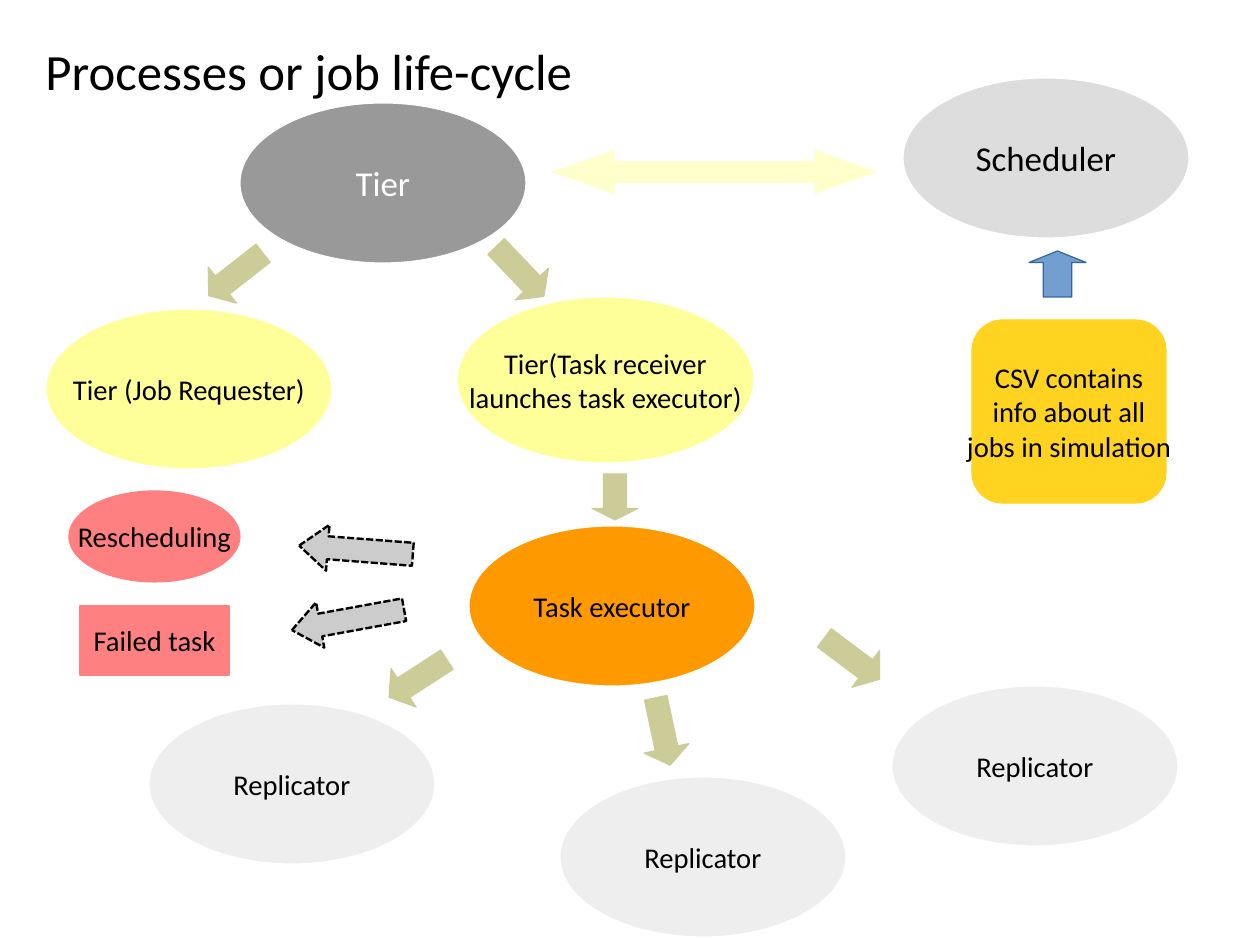
from typing import NamedTuple

from pptx import Presentation
from pptx.dml.color import RGBColor
from pptx.enum.dml import MSO_LINE_DASH_STYLE as Dash
from pptx.enum.shapes import MSO_SHAPE as Preset
from pptx.enum.text import MSO_ANCHOR as Anchor, MSO_AUTO_SIZE as AutoSize, PP_ALIGN as Align
from pptx.util import Emu, Pt

SCALE = 8000  # EMU per pixel
FONT = "Calibri"
COLORS = {
    "black": "000000", "white": "FFFFFF", "silver": "DDDDDD", "gray": "999999",
    "yellow": "FFFF99", "orange": "FF9900", "pale": "EEEEEE", "cream": "FFFFCC",
    "olive": "CCCC99", "gold": "FFD320", "blue": "729FCF", "navy": "3465A4",
    "red": "FF8080", "ash": "CCCCCC",
}


class Box(NamedTuple):
    """Left, top, width and height in pixels."""
    left: int
    top: int
    width: int
    height: int


class Node(NamedTuple):
    """A labelled step of the life-cycle."""
    text: str
    box: Box
    fill: str
    line: str = "white"
    preset: Preset = Preset.OVAL
    size: int = 18
    color: str = "black"


class Arrow(NamedTuple):
    """A block arrow; head is its length relative to the short side."""
    preset: Preset
    box: Box
    head: float
    rotation: float = 0
    fill: str = "olive"
    line: str = "olive"
    dashed: bool = False


def oval_box(left: int, top: int) -> Box:
    """Return the box of a standard oval."""
    return Box(left, top, 286, 160)


def down_arrow(left: int, top: int, rotation: float) -> Arrow:
    """Return a standard olive arrow turned by rotation degrees."""
    return Arrow(Preset.DOWN_ARROW, Box(left, top, 46, 69), 0.375, rotation)


def failure_arrow(left: int, top: int, rotation: float) -> Arrow:
    """Return a dashed arrow towards a failure step."""
    return Arrow(Preset.LEFT_ARROW, Box(left, top, 114, 46), 0.625, rotation,
                 "ash", "black", True)


NODES = [
    Node("Scheduler", oval_box(903, 78), "silver", size=22),
    Node("Tier", oval_box(240, 103), "gray", size=22, color="white"),
    Node("Tier (Job Requester)", oval_box(46, 309), "yellow"),
    Node("Tier(Task receiver\nlaunches task executor)", Box(457, 297, 297, 166), "yellow"),
    Node("Task executor", oval_box(469, 526), "orange"),
    *(Node("Replicator", oval_box(left, top), "pale")
      for left, top in [(892, 686), (560, 777), (149, 704)]),
    Node("CSV contains\ninfo about all\njobs in simulation", Box(972, 320, 194, 183),
         "gold", "gold", Preset.ROUNDED_RECTANGLE),
    Node("Rescheduling", Box(69, 491, 171, 91), "red", "red"),
    Node("Failed task", Box(80, 606, 149, 69), "red", "red", Preset.RECTANGLE),
]
ARROWS = [
    Arrow(Preset.LEFT_RIGHT_ARROW, Box(549, 149, 331, 46), 1.44, 0, "cream", "white"),
    down_arrow(395, 644, 57.1),
    down_arrow(497, 237, 316.3),
    Arrow(Preset.DOWN_ARROW, Box(592, 474, 46, 46), 0.25),
    down_arrow(213, 240, 51.9),
    down_arrow(829, 624, 306.9),
    down_arrow(640, 697, 348),
    Arrow(Preset.UP_ARROW, Box(1029, 251, 57, 46), 0.25, 0, "blue", "navy"),
    failure_arrow(299, 527, 4.4),
    failure_arrow(291, 597, 349.7),
]


def rgb(name: str) -> RGBColor:
    """Return the named colour."""
    return RGBColor.from_string(COLORS[name])


def apply(target, formats: dict) -> None:
    """Set every attribute in formats on target."""
    for name, value in formats.items():
        setattr(target, name, value)


def place(box: Box) -> list[Emu]:
    """Convert a pixel box to EMU."""
    return [Emu(value * SCALE) for value in box]


def write(shape, text: str, size: int, color: str, align: Align, frame_formats: dict) -> None:
    """Fill a shape with formatted text."""
    frame = shape.text_frame
    frame.text = text
    apply(frame, frame_formats)
    for paragraph in frame.paragraphs:
        paragraph.alignment = align
        apply(paragraph.font, {"name": FONT, "size": Pt(size)})
        paragraph.font.color.rgb = rgb(color)


def add_preset(slide, preset: Preset, box: Box, fill: str, line: str):
    """Add a flat shape with a hairline outline."""
    shape = slide.shapes.add_shape(preset, *place(box))
    shape.shadow.inherit = False
    shape.fill.solid()
    shape.fill.fore_color.rgb = rgb(fill)
    shape.line.color.rgb = rgb(line)
    shape.line.width = 0
    return shape


def add_node(slide, node: Node) -> None:
    """Draw one labelled step."""
    shape = add_preset(slide, node.preset, node.box, node.fill, node.line)
    write(shape, node.text, node.size, node.color, Align.CENTER,
          {"word_wrap": False, "vertical_anchor": Anchor.MIDDLE})


def add_arrow(slide, arrow: Arrow) -> None:
    """Draw one block arrow."""
    shape = add_preset(slide, arrow.preset, arrow.box, arrow.fill, arrow.line)
    shape.rotation = arrow.rotation
    shape.adjustments[0] = 0.5
    shape.adjustments[1] = arrow.head
    if arrow.dashed:
        apply(shape.line, {"width": Pt(1.5), "dash_style": Dash.SQUARE_DOT})


def add_title(slide, text: str, box: Box) -> None:
    """Move the title placeholder and fill it."""
    title = slide.shapes.title
    apply(title, dict(zip(("left", "top", "width", "height"), place(box))))
    write(title, text, 32, "black", Align.LEFT,
          {"word_wrap": True, "vertical_anchor": Anchor.TOP, "auto_size": AutoSize.NONE})


def main() -> None:
    """Build and save the slide."""
    presentation = Presentation()
    apply(presentation, {"slide_width": Emu(1260 * SCALE), "slide_height": Emu(945 * SCALE)})
    slide = presentation.slides.add_slide(presentation.slide_layouts[5])
    add_title(slide, "Processes or job life-cycle", Box(34, 34, 1166, 80))
    for node in NODES:
        add_node(slide, node)
    for arrow in ARROWS:
        add_arrow(slide, arrow)
    presentation.save("out.pptx")


main()
